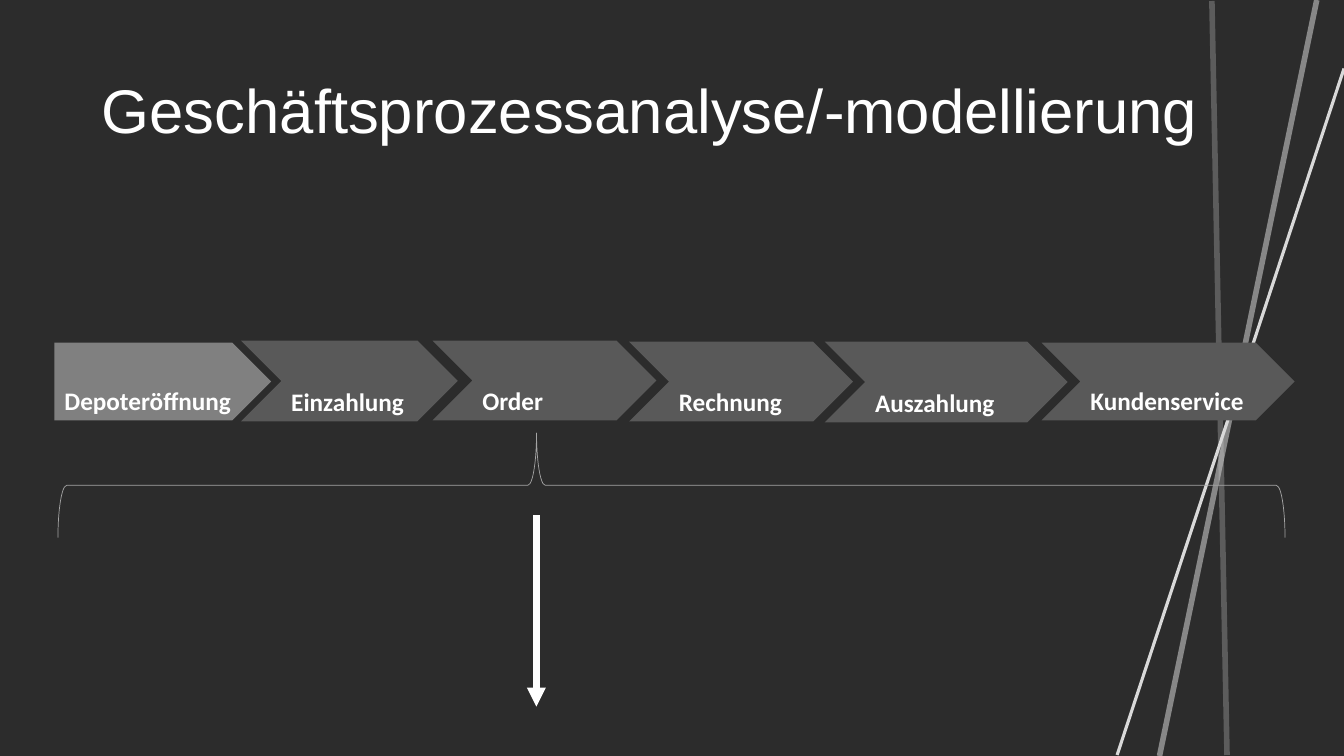
from pptx import Presentation
from pptx.dml.color import RGBColor
from pptx.enum.shapes import MSO_CONNECTOR, MSO_SHAPE
from pptx.enum.text import MSO_ANCHOR, PP_ALIGN
from pptx.oxml.ns import qn
from pptx.util import Pt
from lxml.etree import SubElement

PX = 9144  # EMU per px, 100 px to the inch
DARK = RGBColor(0x2C, 0x2C, 0x2C)
WHITE = RGBColor(0xFF, 0xFF, 0xFF)
PALE = RGBColor(0xD9, 0xD9, 0xD9)
SILVER = RGBColor(0xA5, 0xA5, 0xA5)
GREY = RGBColor(0x80, 0x80, 0x80)
SLATE = RGBColor(0x59, 0x59, 0x59)


class Board:
    head = "Arial"
    body = "Calibri"

    def __init__(self, deck):
        self.slide = deck.slides.add_slide(deck.slide_layouts[5])
        fill = self.slide.background.fill
        fill.solid()
        fill.fore_color.rgb = DARK

    def place(self, item, box):
        item.left, item.top, item.width, item.height = (n * PX for n in box)

    def label(self, frame, text, font, size, bold, anchor):
        frame.word_wrap = True
        frame.vertical_anchor = anchor
        para = frame.paragraphs[0]
        para.alignment = PP_ALIGN.LEFT
        run = para.add_run()
        run.text = text
        run.font.name = font
        run.font.size = Pt(size)
        run.font.bold = bold
        run.font.color.rgb = WHITE
        return para

    def title(self, text, box):
        item = self.slide.shapes.title
        self.place(item, box)
        para = self.label(item.text_frame, text, self.head, 44, False,
                          MSO_ANCHOR.MIDDLE)
        para.line_spacing = 0.9

    def line(self, start, end, color, width, alpha=100, arrow=False):
        ends = [n * PX for n in (*start, *end)]
        item = self.slide.shapes.add_connector(MSO_CONNECTOR.STRAIGHT, *ends)
        item.line.color.rgb = color
        item.line.width = Pt(width)
        props = item.element.spPr
        stroke = props.find(qn("a:ln"))
        if alpha < 100:
            tint = stroke.find(qn("a:solidFill"))[0]
            SubElement(tint, qn("a:alpha"), val=str(alpha * 1000))
        if arrow:
            SubElement(stroke, qn("a:tailEnd"), type="triangle")
        SubElement(props, qn("a:effectLst"))

    def shape(self, kind, box):
        item = self.slide.shapes.add_shape(kind, *(n * PX for n in box))
        item.shadow.inherit = False
        return item

    def brace(self, box, curl, point):
        item = self.shape(MSO_SHAPE.LEFT_BRACE, box)
        item.rotation = 90
        item.adjustments[0] = curl
        item.adjustments[1] = point
        item.fill.background()
        item.line.color.rgb = SILVER
        item.line.width = Pt(0.5)

    def step(self, kind, text, box, color):
        item = self.shape(kind, box)
        item.fill.solid()
        item.fill.fore_color.rgb = color
        item.line.fill.background()
        frame = item.text_frame
        frame.margin_right = 0
        self.label(frame, text, self.body, 18, True, MSO_ANCHOR.BOTTOM)


def main():
    deck = Presentation()
    deck.slide_width = 1333 * PX
    deck.slide_height = 750 * PX
    board = Board(deck)

    # Crossing lines of the backdrop
    board.line((1108, 749), (1333, 68), PALE, 2.25)
    board.line((1150, 750), (1306, 0), PALE, 4, 52)
    board.line((1217, 749), (1202, 1), PALE, 4, 28)

    # Title
    board.title("Geschäftsprozessanalyse/-modellierung", (91, 40, 1151, 145))

    # Brace over the whole chain, with the arrow down
    board.brace((614, -127, 104, 1217), 0.083, 0.61)
    board.line((532, 511), (532, 701), WHITE, 4.5, arrow=True)

    # Process chain
    board.step(MSO_SHAPE.PENTAGON, "Depoteröffnung", (54, 340, 215, 77), GREY)
    chain = [
        ("Einzahlung", (239, 338, 215, 80)),
        ("Order", (429, 338, 222, 79)),
        ("Rechnung", (624, 339, 222, 79)),
        ("Auszahlung", (818, 339, 241, 80)),
        ("Kundenservice", (1033, 340, 251, 77)),
    ]
    for text, box in chain:
        board.step(MSO_SHAPE.CHEVRON, text, box, SLATE)

    deck.save("out.pptx")


if __name__ == "__main__":
    main()
